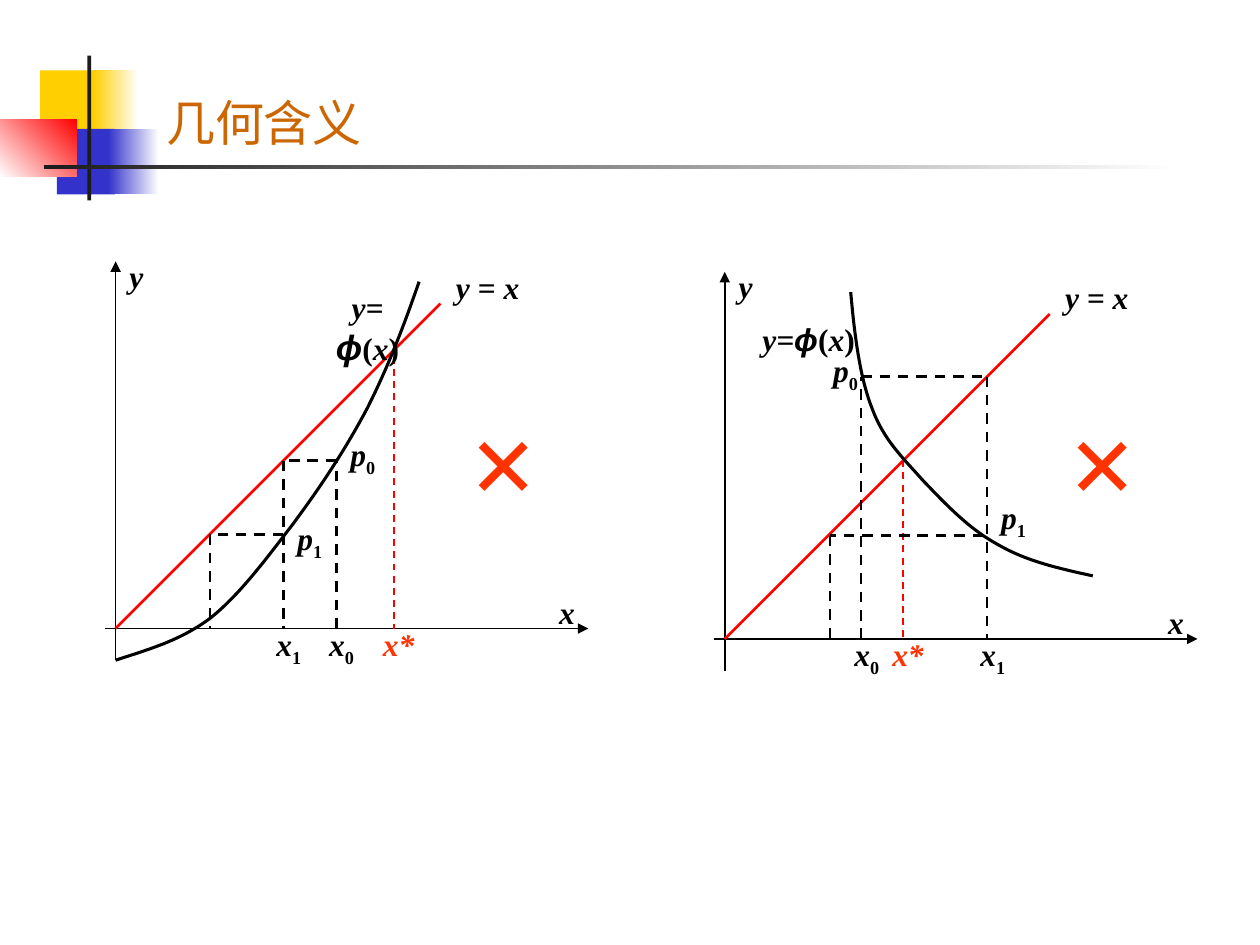
from dataclasses import dataclass
from typing import Optional

from lxml.etree import SubElement
from pptx import Presentation
from pptx.dml.color import RGBColor
from pptx.enum.dml import MSO_LINE
from pptx.enum.shapes import MSO_CONNECTOR, MSO_SHAPE
from pptx.enum.text import MSO_ANCHOR, PP_ALIGN
from pptx.oxml.ns import qn
from pptx.util import Cm, Pt

Point = tuple[float, float]
BLACK, RED, ORANGE, WHITE, INK = "000000", "FF0000", "FF3300", "FFFFFF", "1C1C1C"
YELLOW, BLUE = "FFCF01", "3333CC"
SERIF = "Times New Roman"
CURVE_STEPS = 16


@dataclass
class Block:
    left: float
    top: float
    width: float
    height: float
    start: str
    end: Optional[str] = None
    angle: int = 180


@dataclass
class Span:
    text: str
    italic: bool = True
    bold: bool = True
    font: str = SERIF
    size: float = 18
    color: str = BLACK
    baseline: int = 0


@dataclass
class Label:
    spans: list[Span]
    place: Point
    width: float = 1.07
    height: float = 1.12


@dataclass
class Graph:
    origin: Point
    curve: list[Point]
    guides: list[list[Point]]
    fixed_point: Point
    labels: list[Label]

    def at(self, point: Point) -> Point:
        return self.origin[0] + point[0], self.origin[1] - point[1]


def rgb(value: str) -> RGBColor:
    return RGBColor.from_string(value)


def draw_block(slide, block: Block) -> None:
    shape = slide.shapes.add_shape(
        MSO_SHAPE.RECTANGLE, Cm(block.left), Cm(block.top), Cm(block.width), Cm(block.height))
    shape.shadow.inherit = False
    shape.line.fill.background()
    if block.end is None:
        shape.fill.solid()
        shape.fill.fore_color.rgb = rgb(block.start)
        return
    shape.fill.gradient()
    shape.fill.gradient_angle = block.angle
    for stop, color in zip(shape.fill.gradient_stops, (block.start, block.end)):
        stop.color.rgb = rgb(color)


def draw_text(slide, spans: list[Span], left: float, top: float, width: float, height: float, *,
              align=PP_ALIGN.CENTER, anchor=MSO_ANCHOR.TOP) -> None:
    frame = slide.shapes.add_textbox(Cm(left), Cm(top), Cm(width), Cm(height)).text_frame
    frame.word_wrap = True
    frame.vertical_anchor = anchor
    paragraph = frame.paragraphs[0]
    paragraph.alignment = align
    for span in spans:
        run = paragraph.add_run()
        run.text = span.text
        run.font.name = span.font
        run.font.size = Pt(span.size)
        run.font.bold = span.bold
        run.font.italic = span.italic
        run.font.color.rgb = rgb(span.color)
        if span.baseline:
            run._r.get_or_add_rPr().set("baseline", str(span.baseline * 1000))


def draw_line(slide, graph: Graph, start: Point, end: Point, *, color: str = BLACK,
              width: float = 1.5, dashed: bool = False, arrow: bool = False) -> None:
    (x1, y1), (x2, y2) = graph.at(start), graph.at(end)
    line = slide.shapes.add_connector(MSO_CONNECTOR.STRAIGHT, Cm(x1), Cm(y1), Cm(x2), Cm(y2))
    line.line.color.rgb = rgb(color)
    line.line.width = Pt(width)
    if dashed:
        line.line.dash_style = MSO_LINE.DASH
    properties = line._element.spPr
    if arrow:
        SubElement(properties.find(qn("a:ln")), qn("a:tailEnd"), type="triangle")
    SubElement(properties, qn("a:effectLst"))


def bezier(controls: list[Point], t: float) -> Point:
    weights = ((1 - t) ** 3, 3 * t * (1 - t) ** 2, 3 * t * t * (1 - t), t ** 3)
    return (sum(w * x for w, (x, _) in zip(weights, controls)),
            sum(w * y for w, (_, y) in zip(weights, controls)))


def draw_curve(slide, graph: Graph) -> None:
    points = [graph.at(bezier(graph.curve[first:first + 4], step / CURVE_STEPS))
              for first in range(0, len(graph.curve) - 1, 3)
              for step in range(1, CURVE_STEPS + 1)]
    x, y = graph.at(graph.curve[0])
    builder = slide.shapes.build_freeform(Cm(x), Cm(y))
    builder.add_line_segments([(Cm(px), Cm(py)) for px, py in points], close=False)
    curve = builder.convert_to_shape()
    curve.shadow.inherit = False
    curve.fill.background()
    curve.line.color.rgb = rgb(BLACK)
    curve.line.width = Pt(1.75)


def indexed(letter: str, index: str) -> list[Span]:
    return [Span(letter), Span(index, italic=False, baseline=-25)]


def function_name(prefix: str, phi_size: float) -> list[Span]:
    return [Span(prefix), Span("ϕ", font="Arial", size=phi_size),
            Span("(", italic=False), Span("x"), Span(")", italic=False)]


def draw_graph(slide, graph: Graph) -> None:
    draw_line(slide, graph, (-0.21, 0), (9.53, 0), width=1, arrow=True)
    draw_line(slide, graph, (0, -0.64), (0, 7.4), width=1, arrow=True)
    draw_line(slide, graph, (0, 0), (6.55, 6.55), color=RED)
    x_star, height = graph.fixed_point
    draw_line(slide, graph, (x_star, height), (x_star, 0), color=RED, width=1, dashed=True)
    draw_curve(slide, graph)
    for guide in graph.guides:
        for start, end in zip(guide, guide[1:]):
            draw_line(slide, graph, start, end, dashed=True)
    shared = [
        Label([Span("x")], (8.68, 0.84), 0.84, 1.02),
        Label([Span("y")], (0, 7.62), 0.84, 1.02),
        Label([Span("y = x")], (6.55, 7.4), 1.9, 1.02),
        Label([Span("x*", color=ORANGE)], (x_star - 0.64, 0.2), 1.47, 1.02),
    ]
    for label in shared + graph.labels:
        draw_text(slide, label.spans, *graph.at(label.place), label.width, label.height)


def main() -> None:
    presentation = Presentation()
    presentation.slide_width, presentation.slide_height = Cm(25.4), Cm(19.05)
    slide = presentation.slides.add_slide(presentation.slide_layouts[6])

    ornaments = [
        Block(0.81, 1.42, 1.22, 1.32, YELLOW),
        Block(1.88, 1.42, 0.91, 1.32, WHITE, YELLOW),
        Block(1.15, 2.6, 1.17, 1.32, BLUE),
        Block(2.18, 2.6, 1.02, 1.32, WHITE, BLUE),
        Block(0, 2.4, 1.55, 1.17, RED, WHITE, 225),
        Block(1.76, 1.12, 0.08, 2.92, INK),
        Block(0.89, 3.33, 22.86, 0.08, WHITE, INK),
    ]
    for block in ornaments:
        draw_block(slide, block)
    title = Span("几何含义", italic=False, bold=False, font="Karla", size=28, color="CC6600")
    draw_text(slide, [title], 3.1, 0, 21.64, 3.18, align=PP_ALIGN.LEFT, anchor=MSO_ANCHOR.BOTTOM)

    cross = [Span("✕", italic=False, bold=False, font="Arial", size=48, color=ORANGE)]
    steep = Graph(
        origin=(2.33, 12.67),
        curve=[(0, -0.64), (0.64, -0.43), (1.3, -0.25), (1.9, 0.2), (2.49, 0.66),
               (3.05, 1.42), (3.58, 2.11), (4.11, 2.82), (4.65, 3.63), (5.08, 4.45),
               (5.49, 5.26), (5.82, 6.12), (6.12, 6.99)],
        guides=[[(4.45, 0), (4.45, 3.38), (3.38, 3.38), (3.38, 0)],
                [(3.38, 1.9), (1.9, 1.9), (1.9, 0)]],
        fixed_point=(5.61, 5.72),
        labels=[Label(function_name("y= ", 20), (3.81, 6.99), 2.54),
                Label(indexed("x", "0"), (4.02, 0.2)), Label(indexed("p", "0"), (4.45, 4.02)),
                Label(indexed("x", "1"), (2.96, 0.2)), Label(indexed("p", "1"), (3.38, 2.33)),
                Label(cross, (6.55, 4.45), 2.54, 2.29)])
    falling = Graph(
        origin=(14.61, 12.88),
        curve=[(2.54, 6.99), (2.62, 6.12), (2.72, 5.28), (2.97, 4.65), (3.2, 4.01),
               (3.61, 3.63), (4.01, 3.18), (4.45, 2.72), (4.93, 2.21), (5.51, 1.9),
               (6.07, 1.57), (6.73, 1.42), (7.42, 1.27)],
        guides=[[(2.75, 0), (2.75, 5.29), (5.29, 5.29), (5.29, 0)],
                [(5.21, 2.08), (2.12, 2.08), (2.12, 0)]],
        fixed_point=(3.6, 3.6),
        labels=[Label(function_name("y=", 18), (0.42, 6.56), 2.54, 1.02),
                Label(indexed("x", "0"), (2.33, 0.2)), Label(indexed("p", "0"), (1.9, 5.93)),
                Label(indexed("x", "1"), (4.87, 0.2)), Label(indexed("p", "1"), (5.29, 2.96)),
                Label(cross, (6.35, 4.66), 2.54, 2.29)])
    for graph in (steep, falling):
        draw_graph(slide, graph)
    presentation.save("out.pptx")


if __name__ == "__main__":
    main()
